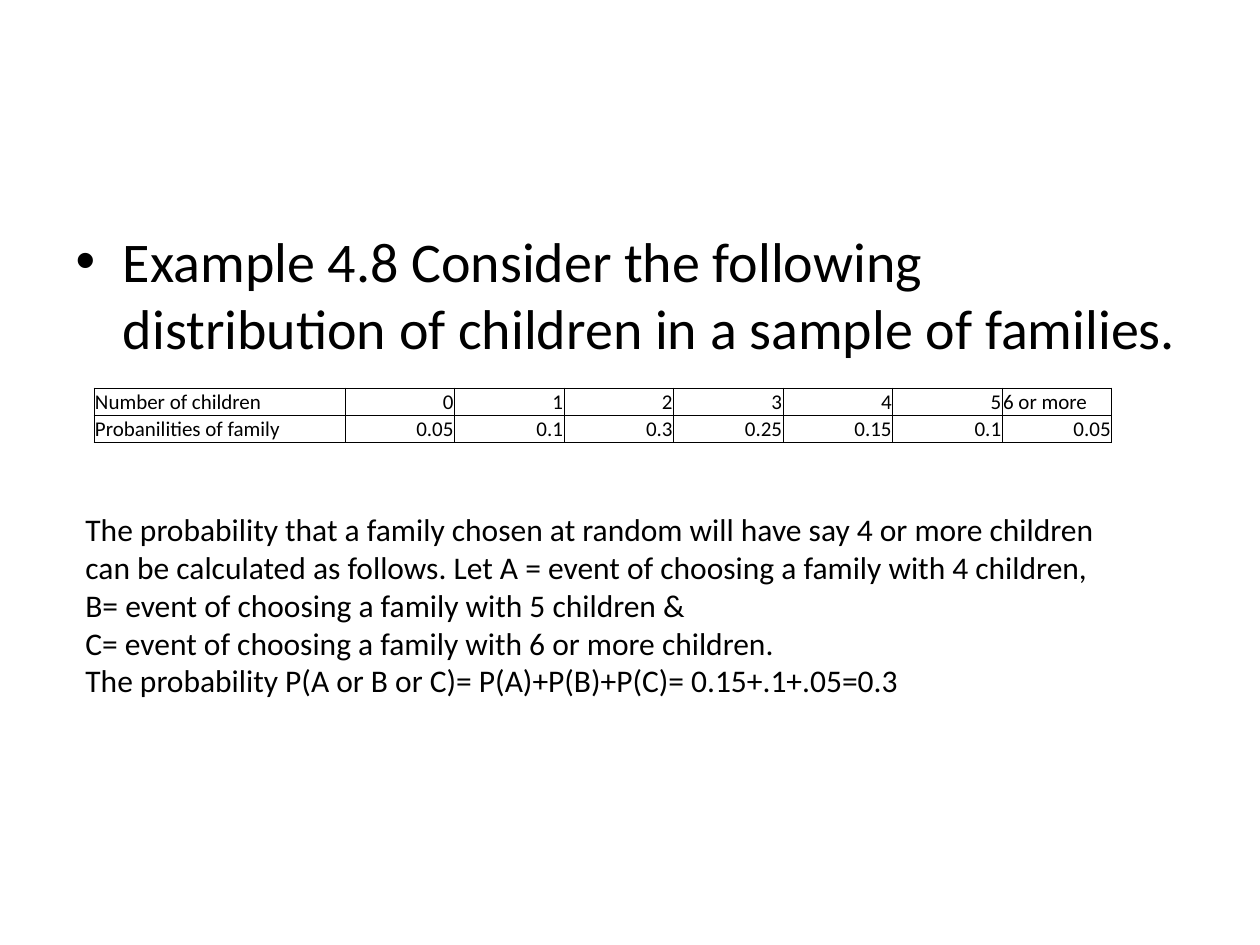
from lxml import etree
from pptx import Presentation
from pptx.dml.color import RGBColor
from pptx.enum.text import MSO_ANCHOR, MSO_AUTO_SIZE, PP_ALIGN
from pptx.oxml.ns import qn
from pptx.util import Emu, Pt

LEFT, RIGHT = PP_ALIGN.LEFT, PP_ALIGN.RIGHT
BOTTOM = MSO_ANCHOR.BOTTOM
NO_FIT, GROW = MSO_AUTO_SIZE.NONE, MSO_AUTO_SIZE.SHAPE_TO_FIT_TEXT
FONT, BLACK = "Calibri", "000000"

EXAMPLE = ("Example 4.8 Consider the following distribution of children "
           "in a sample of families.")
ROWS = [
    ["Number of children", "0", "1", "2", "3", "4", "5", "6 or more"],
    ["Probanilities of family", "0.05", "0.1", "0.3", "0.25", "0.15", "0.1", "0.05"],
]
SOLUTION = [
    "The probability that a family chosen at random will have say 4 or more children "
    "can be calculated as follows. Let A = event of choosing a family with 4 children,",
    "B= event of choosing a family with 5 children &",
    "C= event of choosing a family with 6 or more children.",
    "The probability P(A or B or C)= P(A)+P(B)+P(C)= 0.15+.1+.05=0.3",
]


def px(n):
    return Emu(round(n * 914400 / 126))


def color(value):
    return RGBColor.from_string(value)


def write(p, text, size=18, align=None, fill=BLACK):
    p.alignment = align
    r = p.add_run()
    r.text = text
    r.font.name = FONT
    r.font.size = Pt(size)
    r.font.color.rgb = color(fill)


def add_borders(cell, fill=BLACK, width=0.5):
    tcPr = cell._tc.get_or_add_tcPr()
    for i, side in enumerate(("lnL", "lnR", "lnT", "lnB")):
        ln = etree.Element(qn(f"a:{side}"), w=str(Pt(width)))
        solid = etree.SubElement(ln, qn("a:solidFill"))
        etree.SubElement(solid, qn("a:srgbClr"), val=fill)
        tcPr.insert(i, ln)


def add_example(slide, x, y, w, h):
    sp = slide.placeholders[1]
    sp.left, sp.top, sp.width, sp.height = px(x), px(y), px(w), px(h)
    tf = sp.text_frame
    tf.auto_size = NO_FIT
    p = tf.paragraphs[0]
    p.space_before = Pt(0)
    write(p, EXAMPLE, size=32)


def add_distribution(slide, x, y, w, h, label_w=251):
    count = len(ROWS[0])
    frame = slide.shapes.add_table(len(ROWS), count, px(x), px(y), px(w), px(h))
    table = frame.table
    table.first_row = table.horz_banding = False
    for i, col in enumerate(table.columns):
        col.width = px((w - label_w) / (count - 1) if i else label_w)
    for row, values in zip(table.rows, ROWS):
        row.height = px(h / len(ROWS))
        for cell, text in zip(row.cells, values):
            cell.fill.background()
            cell.vertical_anchor = BOTTOM
            cell.margin_left = cell.margin_right = cell.margin_top = px(1)
            cell.margin_bottom = 0
            number = text.replace(".", "").isdigit()
            write(cell.text_frame.paragraphs[0], text, size=12,
                  align=RIGHT if number else LEFT)
            add_borders(cell)


def add_solution(slide, x, y, w, h):
    sp = slide.shapes.add_textbox(px(x), px(y), px(w), px(h))
    tf = sp.text_frame
    tf.word_wrap = True
    tf.auto_size = GROW
    for i, text in enumerate(SOLUTION):
        write(tf.add_paragraph() if i else tf.paragraphs[0], text)


def main():
    prs = Presentation()
    prs.slide_width, prs.slide_height = px(1260), px(945)
    slide = prs.slides.add_slide(prs.slide_layouts[1])
    title = slide.shapes.title.element
    title.getparent().remove(title)
    add_example(slide, 63, 220, 1134, 168)
    add_distribution(slide, 94, 388, 1018, 54)
    add_solution(slide, 73, 504, 1081, 204)
    prs.save("out.pptx")


if __name__ == "__main__":
    main()
